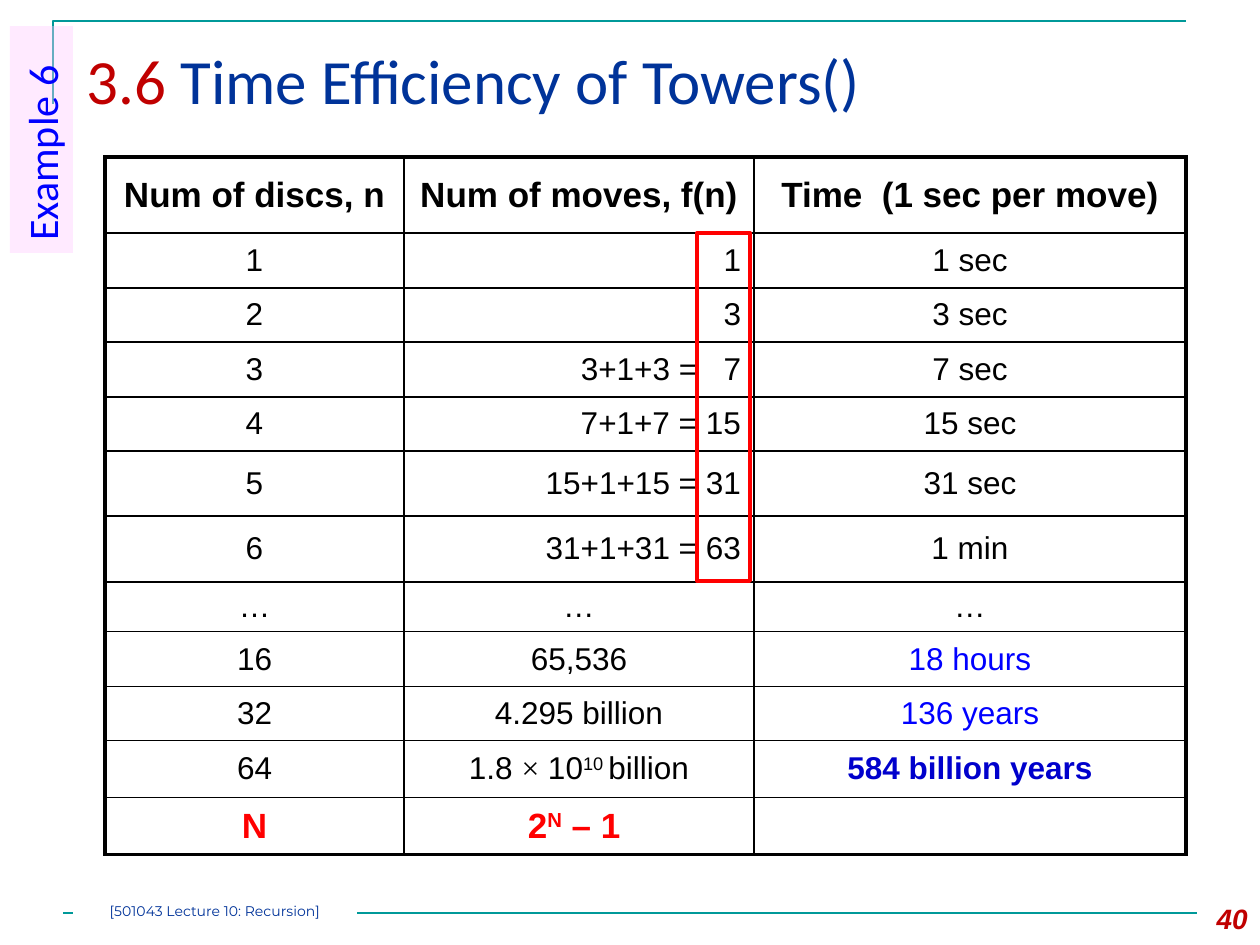
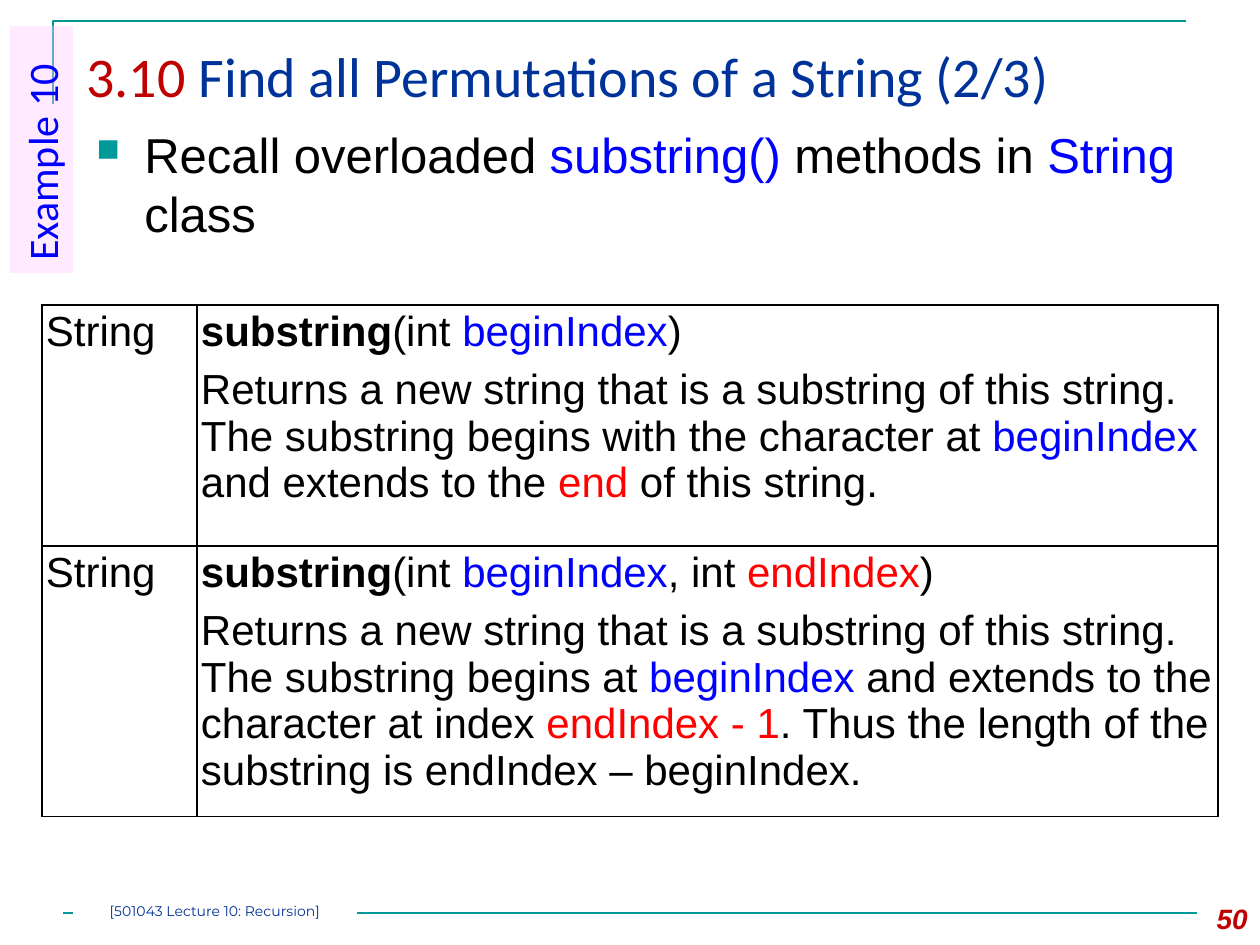
import dataclasses
import typing

import lxml.etree
import pptx
import pptx.dml.color
import pptx.enum.shapes
import pptx.enum.text
import pptx.oxml.ns
import pptx.util

# Scale and colours
EMU_PER_PX = 914400 / 126
BLACK = pptx.dml.color.RGBColor(0x00, 0x00, 0x00)
WHITE = pptx.dml.color.RGBColor(0xFF, 0xFF, 0xFF)
TEAL = pptx.dml.color.RGBColor(0x00, 0x99, 0x99)
CRIMSON = pptx.dml.color.RGBColor(0xC0, 0x00, 0x00)
NAVY = pptx.dml.color.RGBColor(0x00, 0x33, 0x99)
BLUE = pptx.dml.color.RGBColor(0x00, 0x00, 0xFF)
DEEP_BLUE = pptx.dml.color.RGBColor(0x00, 0x00, 0xCC)
RED = pptx.dml.color.RGBColor(0xFF, 0x00, 0x00)
PINK = pptx.dml.color.RGBColor(0xFF, 0xCC, 0xFF)

LEFT = pptx.enum.text.PP_ALIGN.LEFT
CENTER = pptx.enum.text.PP_ALIGN.CENTER
RIGHT = pptx.enum.text.PP_ALIGN.RIGHT
TOP = pptx.enum.text.MSO_ANCHOR.TOP
MIDDLE = pptx.enum.text.MSO_ANCHOR.MIDDLE
RECTANGLE = pptx.enum.shapes.MSO_SHAPE.RECTANGLE
FOOTER = "[501043 Lecture 10: Recursion]"


@dataclasses.dataclass(frozen=True)
class Box:
    left: int
    top: int
    width: int
    height: int

    def emu(self) -> list[pptx.util.Emu]:
        return [px(value) for value in dataclasses.astuple(self)]


@dataclasses.dataclass(frozen=True)
class Style:
    size: int
    name: str = "Arial"
    bold: bool = False
    italic: bool = False


@dataclasses.dataclass(frozen=True)
class Run:
    text: str
    color: pptx.dml.color.RGBColor = BLACK
    format: dict[str, typing.Any] = dataclasses.field(default_factory=dict)
    extra: dict[str, str] = dataclasses.field(default_factory=dict)


@dataclasses.dataclass(frozen=True)
class Cell:
    paragraphs: list[list[Run]]
    style: Style
    align: typing.Any = CENTER


@dataclasses.dataclass(frozen=True)
class TableLook:
    anchor: typing.Any
    margins: tuple[int, int]
    outer: float
    inner: float
    fill: pptx.dml.color.RGBColor | None = None
    space_after: int = 0


SUPERSCRIPT = {"baseline": "30000"}
BOLD = {"bold": True}


def px(value: float) -> pptx.util.Emu:
    return pptx.util.Emu(round(value * EMU_PER_PX))


def apply(target: typing.Any, values: dict[str, typing.Any]) -> None:
    for name, value in values.items():
        setattr(target, name, value)


def add_runs(paragraph, runs: list[Run], style: Style, align=LEFT) -> None:
    paragraph.alignment = align
    for part in runs:
        run = paragraph.add_run()
        run.text = part.text
        values = dataclasses.asdict(style) | part.format
        values["size"] = pptx.util.Pt(values["size"])
        apply(run.font, values)
        run.font.color.rgb = part.color
        for name, value in part.extra.items():
            run.font._element.set(name, value)


def frame_text(shape, runs: list[Run], style: Style, align=LEFT, **frame_values):
    frame = shape.text_frame
    apply(frame, {"word_wrap": True, "vertical_anchor": TOP} | frame_values)
    add_runs(frame.paragraphs[0], runs, style, align)
    return frame.paragraphs[0]


def add_text(slide, box: Box, runs: list[Run], style: Style, align=LEFT, **frame_values):
    return frame_text(slide.shapes.add_textbox(*box.emu()), runs, style, align, **frame_values)


def add_rectangle(slide, box: Box, fill=None, line=None):
    shape = slide.shapes.add_shape(RECTANGLE, *box.emu())
    shape.shadow.inherit = False
    if fill is None:
        shape.fill.background()
    else:
        shape.fill.solid()
        shape.fill.fore_color.rgb = fill
    if line is None:
        shape.line.fill.background()
    else:
        shape.line.color.rgb = line
        shape.line.width = pptx.util.Pt(2.25)
    return shape


def sub_element(parent, tag: str, **attributes: str):
    return lxml.etree.SubElement(parent, pptx.oxml.ns.qn(tag), attributes)


# Shared frame: corner rule, footer rule and title
def add_frame(presentation, number: int, heading: str, title: str, size: int, title_width: int):
    slide = presentation.slides.add_slide(presentation.slide_layouts[6])
    builder = slide.shapes.build_freeform(53, 104, scale=EMU_PER_PX)
    builder.add_line_segments([(53, 21), (1186, 21)], close=False)
    corner = builder.convert_to_shape()
    corner.shadow.inherit = False
    corner.fill.background()
    rule = slide.shapes.add_connector(
        pptx.enum.shapes.MSO_CONNECTOR.STRAIGHT, px(63), px(913), px(1197), px(913))
    sub_element(rule._element.spPr, "a:effectLst")
    for line in (corner.line, rule.line):
        line.color.rgb = TEAL
        line.width = pptx.util.Pt(1.5)
    add_text(slide, Box(74, 31, title_width, 108), [Run(heading + " ", CRIMSON), Run(title, NAVY)],
             Style(size, "Calibri"), margin_top=px(10))
    add_text(slide, Box(1176, 895, 84, 50), [Run(str(number), CRIMSON)],
             Style(16, bold=True, italic=True), RIGHT)
    return slide


# Shared labels: vertical example tag and footer, on top of the content
def add_labels(slide, example: str, tag_length: int) -> None:
    thickness, left, top = 63, 10, 26
    offset = (tag_length - thickness) / 2
    tag = add_rectangle(slide, Box(left - offset, top + offset, tag_length, thickness), PINK)
    tag.rotation = 270
    color = tag.fill._xPr.find(".//" + pptx.oxml.ns.qn("a:srgbClr"))
    sub_element(color, "a:alpha", val="40000")
    frame_text(tag, [Run(example, BLUE)], Style(24, "Calibri"))
    footer = add_rectangle(slide, Box(73, 903, 284, 21), WHITE)
    frame_text(footer, [Run(FOOTER, NAVY)], Style(8, "Montserrat"), CENTER,
               margin_left=0, margin_right=0, margin_top=0, margin_bottom=0)


def set_borders(cell, widths: dict[str, float]) -> None:
    properties = cell._tc.get_or_add_tcPr()
    for side, width in widths.items():
        line = sub_element(properties, f"a:ln{side}", w=str(pptx.util.Pt(width)))
        sub_element(sub_element(line, "a:solidFill"), "a:srgbClr", val=str(BLACK))


def add_grid(slide, left: int, top: int, columns: list[int], heights: list[int],
             rows: list[list[Cell]], look: TableLook) -> None:
    box = Box(left, top, sum(columns), sum(heights))
    table = slide.shapes.add_table(len(heights), len(columns), *box.emu()).table
    apply(table, {"first_row": False, "horz_banding": False})
    for column, width in zip(table.columns, columns):
        column.width = px(width)
    for row, height in zip(table.rows, heights):
        row.height = px(height)
    side_margin, end_margin = map(px, look.margins)
    for i, row in enumerate(rows):
        for j, content in enumerate(row):
            cell = table.cell(i, j)
            apply(cell, {"vertical_anchor": look.anchor,
                         "margin_left": side_margin, "margin_right": side_margin,
                         "margin_top": end_margin, "margin_bottom": end_margin})
            edges = {"L": j == 0, "R": j == len(columns) - 1,
                     "T": i == 0, "B": i == len(heights) - 1}
            set_borders(cell, {side: look.outer if edge else look.inner
                               for side, edge in edges.items()})
            if look.fill is None:
                cell.fill.background()
            else:
                cell.fill.solid()
                cell.fill.fore_color.rgb = look.fill
            for k, runs in enumerate(content.paragraphs):
                frame = cell.text_frame
                paragraph = frame.add_paragraph() if k else frame.paragraphs[0]
                paragraph.space_after = pptx.util.Pt(look.space_after)
                add_runs(paragraph, runs, content.style, content.align)


# Slide 40: moves and time for the Towers
def build_towers(presentation) -> None:
    slide = add_frame(presentation, 40, "3.6", "Time Efficiency of Towers()", 36, 1123)
    header, body = Style(20, bold=True), Style(18)

    def text_row(*texts: str) -> list[Cell]:
        return [Cell([[Run(text)]], body) for text in texts]

    rows = [[Cell([[Run("Num of discs, n")]], header),
             Cell([[Run("Num of moves, f(n)")]], header),
             Cell([[Run("Time"), Run(" ", extra={"spc": "550"}), Run("(1 sec per move)")]], header)]]
    small_moves = [
        ([Run("1")], "1 sec"),
        ([Run("3")], "3 sec"),
        ([Run("3+1+3 ="), Run(" ", extra={"spc": "1000"}), Run("7")], "7 sec"),
        ([Run("7+1+7 = 15")], "15 sec"),
        ([Run("15+1+15 = 31")], "31 sec"),
        ([Run("31+1+31 = 63")], "1 min"),
    ]
    for discs, (moves, time) in enumerate(small_moves, 1):
        rows.append([Cell([[Run(str(discs))]], body), Cell([moves], body, RIGHT),
                     Cell([[Run(time)]], body)])
    rows.append(text_row("…", "…", "…"))
    for discs, moves, time in (("16", "65,536", "18 hours"), ("32", "4.295 billion", "136 years")):
        rows.append(text_row(discs, moves) + [Cell([[Run(time, BLUE)]], body)])
    huge = [Run("1.8 "), Run("×", format={"name": "Times New Roman"}), Run(" 10"),
            Run("10 ", extra=SUPERSCRIPT), Run("billion")]
    rows.append(text_row("64") + [Cell([huge], body),
                                  Cell([[Run("584 billion years", DEEP_BLUE, BOLD)]], body)])
    formula = [Run("2", RED), Run("N", RED, extra=SUPERSCRIPT), Run(" – 1 ", RED)]
    rows.append([Cell([[Run("N", RED)]], header), Cell([formula], header), Cell([[]], body)])

    heights = [76, 55, 54, 55, 54, 65, 66, 48, 55, 54, 57, 57]
    add_grid(slide, 105, 157, [299, 350, 432], heights, rows,
             TableLook(MIDDLE, (13, 6), 2.25, 1, WHITE))
    add_rectangle(slide, Box(697, 233, 53, 348), line=RED)
    add_labels(slide, "Example 6", 227)


# Slide 50: the two substring methods
def build_permutations(presentation) -> None:
    slide = add_frame(presentation, 50, "3.10", "Find all Permutations of a String (2/3)", 32, 1166)
    recall = [Run("Recall overloaded "), Run("substring() ", BLUE), Run("methods in "),
              Run("String", BLUE), Run(" class")]
    paragraph = add_text(slide, Box(84, 118, 1113, 147), recall, Style(28))
    paragraph.space_before = pptx.util.Pt(6)
    properties = paragraph._p.get_or_add_pPr()
    properties.set("marL", str(px(48)))
    properties.set("indent", str(px(-48)))
    sub_element(sub_element(properties, "a:buClr"), "a:srgbClr", val=str(TEAL))
    sub_element(properties, "a:buSzPct", val="65000")
    sub_element(properties, "a:buChar", char="■")

    name, begin = Run("substring", format=BOLD), Run("beginIndex", BLUE)
    returns = "Returns a new string that is a substring of this string. The substring begins "
    methods = [
        [[name, Run("(int "), begin, Run(")")],
         [Run(returns + "with the character at "), Run("beginIndex ", BLUE),
          Run("and extends to the "), Run("end ", RED), Run("of this string.")]],
        [[name, Run("(int "), begin, Run(", int "), Run("endIndex", RED), Run(")")],
         [Run(returns + "at "), begin, Run(" and extends to the character at index "),
          Run("endIndex - 1", RED),
          Run(". Thus the length of the substring is endIndex – beginIndex.")]],
    ]
    style = Style(24)
    rows = [[Cell([[Run("String")]], style, LEFT), Cell(method, style, LEFT)]
            for method in methods]
    add_grid(slide, 42, 305, [155, 1021], [241, 252], rows,
             TableLook(TOP, (4, 4), 1, 1, space_after=6))
    add_labels(slide, "Example 10", 247)


def main() -> None:
    presentation = pptx.Presentation()
    apply(presentation, {"slide_width": px(1260), "slide_height": px(945)})
    build_towers(presentation)
    build_permutations(presentation)
    presentation.save("out.pptx")


if __name__ == "__main__":
    main()
